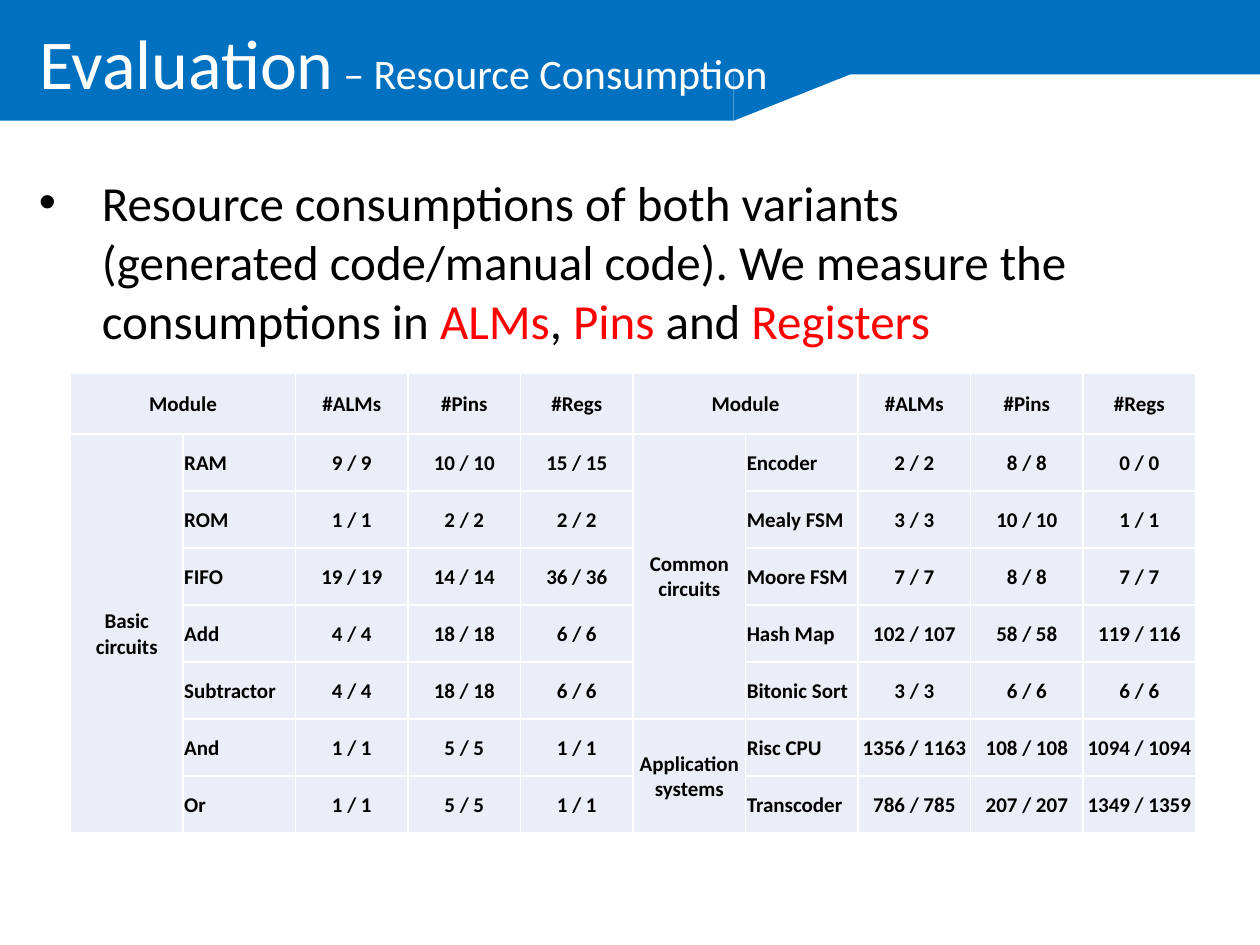
from lxml import etree
from pptx import Presentation
from pptx.dml.color import RGBColor
from pptx.enum.shapes import MSO_SHAPE as Shape
from pptx.enum.text import MSO_ANCHOR as Anchor, MSO_AUTO_SIZE as AutoSize, PP_ALIGN as Align
from pptx.oxml.ns import qn
from pptx.util import Pt

FONT = "Calibri"
COLORS = {"band": "0070C0", "white": "FFFFFF", "black": "000000",
          "accent": "FF0000", "cell": "EAEFF7"}

# Each half of the table: groups of (heading, modules with ALMs, pins, registers)
HEADINGS = ["Module", None, "#ALMs", "#Pins", "#Regs"]
HALVES = [
    [("Basic circuits", [
        ("RAM", "9 / 9", "10 / 10", "15 / 15"),
        ("ROM", "1 / 1", "2 / 2", "2 / 2"),
        ("FIFO", "19 / 19", "14 / 14", "36 / 36"),
        ("Add", "4 / 4", "18 / 18", "6 / 6"),
        ("Subtractor", "4 / 4", "18 / 18", "6 / 6"),
        ("And", "1 / 1", "5 / 5", "1 / 1"),
        ("Or", "1 / 1", "5 / 5", "1 / 1")])],
    [("Common circuits", [
        ("Encoder", "2 / 2", "8 / 8", "0 / 0"),
        ("Mealy FSM", "3 / 3", "10 / 10", "1 / 1"),
        ("Moore FSM", "7 / 7", "8 / 8", "7 / 7"),
        ("Hash Map", "102 / 107", "58 / 58", "119 / 116"),
        ("Bitonic Sort", "3 / 3", "6 / 6", "6 / 6")]),
     ("Application systems", [
        ("Risc CPU", "1356 / 1163", "108 / 108", "1094 / 1094"),
        ("Transcoder", "786 / 785", "207 / 207", "1349 / 1359")])],
]


def rgb(name):
    return RGBColor.from_string(COLORS[name])


def style_run(run, size, color, bold=False):
    run.font.name = FONT
    run.font.size = Pt(size)
    run.font.bold = bold
    run.font.color.rgb = rgb(color)


def add_band(slide, preset, left, top, width, height, rotation=0):
    band = slide.shapes.add_shape(preset, Pt(left), Pt(top), Pt(width), Pt(height))
    band.rotation = rotation
    band.shadow.inherit = False
    band.fill.solid()
    band.fill.fore_color.rgb = rgb("band")
    band.line.fill.background()


def add_header(slide, left, top, width, height):
    # Stepped blue banner: full strip, left strip and the slope between them
    strip, left_width = 42.5, 419.3
    depth, slope_width = 69, 173.5
    add_band(slide, Shape.RECTANGLE, left, top, width, strip)
    add_band(slide, Shape.RECTANGLE, left, top + depth - strip, left_width, strip)
    add_band(slide, Shape.RIGHT_TRIANGLE, left + left_width + (slope_width - depth) / 2,
             top + (depth - slope_width) / 2, depth, slope_width, rotation=90)

    # Title, brought in front of the banner
    title = slide.shapes.title
    title.left, title.top = Pt(left + 15.1), Pt(top + 4.3)
    title.width, title.height = Pt(493), Pt(height)
    frame = title.text_frame
    frame.auto_size = AutoSize.NONE
    frame.vertical_anchor = Anchor.MIDDLE
    heading = frame.paragraphs[0]
    heading.alignment = Align.LEFT
    heading.line_spacing = 0.9
    for text, size in (("Evaluation", 40), (" – Resource Consumption", 24)):
        run = heading.add_run()
        run.text = text
        style_run(run, size, "white")
    title.element.getparent().append(title.element)


def add_summary(slide, left, top, width, height):
    box = slide.shapes.add_textbox(Pt(left), Pt(top), Pt(width), Pt(height))
    frame = box.text_frame
    frame.word_wrap = True
    frame.auto_size = AutoSize.SHAPE_TO_FIT_TEXT
    summary = frame.paragraphs[0]
    parts = [("Resource consumptions of both variants (generated code/manual code). "
              "We measure the consumptions in ", "black"),
             ("ALMs", "accent"), (", ", "black"), ("Pins", "accent"),
             (" and ", "black"), ("Registers", "accent")]
    for text, color in parts:
        run = summary.add_run()
        run.text = text
        style_run(run, 28, color)

    # Hanging bullet
    props = summary._p.get_or_add_pPr()
    props.set("marL", str(Pt(36)))
    props.set("indent", str(-Pt(36)))
    etree.SubElement(props, qn("a:buFont")).set("typeface", "Arial")
    etree.SubElement(props, qn("a:buChar")).set("char", "•")


def style_cell(cell, centred):
    cell.vertical_anchor = Anchor.MIDDLE
    cell.margin_left = cell.margin_right = cell.margin_top = Pt(0.7)
    cell.margin_bottom = Pt(0)
    for paragraph in cell.text_frame.paragraphs:
        paragraph.alignment = Align.CENTER if centred else Align.LEFT
        for run in paragraph.runs:
            style_run(run, 12, "black", bold=True)

    # Borders come before the fill in the cell properties
    props = cell._tc.get_or_add_tcPr()
    for side in ("lnL", "lnR", "lnT", "lnB"):
        border = etree.SubElement(props, qn(f"a:{side}"), w=str(Pt(1)))
        paint = etree.SubElement(border, qn("a:solidFill"))
        etree.SubElement(paint, qn("a:srgbClr")).set("val", COLORS["white"])
    cell.fill.solid()
    cell.fill.fore_color.rgb = rgb("cell")


def add_resource_table(slide, left, top, width, height):
    half_width = len(HEADINGS)
    columns = half_width * len(HALVES)
    rows = 1 + sum(len(modules) for _, modules in HALVES[0])
    table = slide.shapes.add_table(rows, columns, Pt(left), Pt(top),
                                   Pt(width), Pt(height)).table
    table.first_row = table.horz_banding = False
    header_height = 34.5
    for column in table.columns:
        column.width = Pt(width / columns)
    for index, row in enumerate(table.rows):
        row.height = Pt((height - header_height) / (rows - 1) if index else header_height)

    for half, groups in enumerate(HALVES):
        first = half * half_width
        for offset, heading in enumerate(HEADINGS):
            if heading:
                table.cell(0, first + offset).text = heading
        table.cell(0, first).merge(table.cell(0, first + 1))
        row = 1
        for group, modules in groups:
            table.cell(row, first).text = group
            table.cell(row, first).merge(table.cell(row + len(modules) - 1, first))
            for module in modules:
                for offset, value in enumerate(module, 1):
                    table.cell(row, first + offset).text = value
                row += 1

    for row in range(rows):
        for column in range(columns):
            is_module_name = row > 0 and column % half_width == 1
            style_cell(table.cell(row, column), centred=not is_module_name)


def main():
    deck = Presentation()
    deck.slide_width, deck.slide_height = Pt(720), Pt(540)
    slide = deck.slides.add_slide(deck.slide_layouts[5])
    add_header(slide, 0, 0, 720, 67.7)
    add_summary(slide, 15.1, 95, 620.6, 143.3)
    add_resource_table(slide, 40.3, 213.4, 643, 262.8)
    deck.save("out.pptx")


if __name__ == "__main__":
    main()
